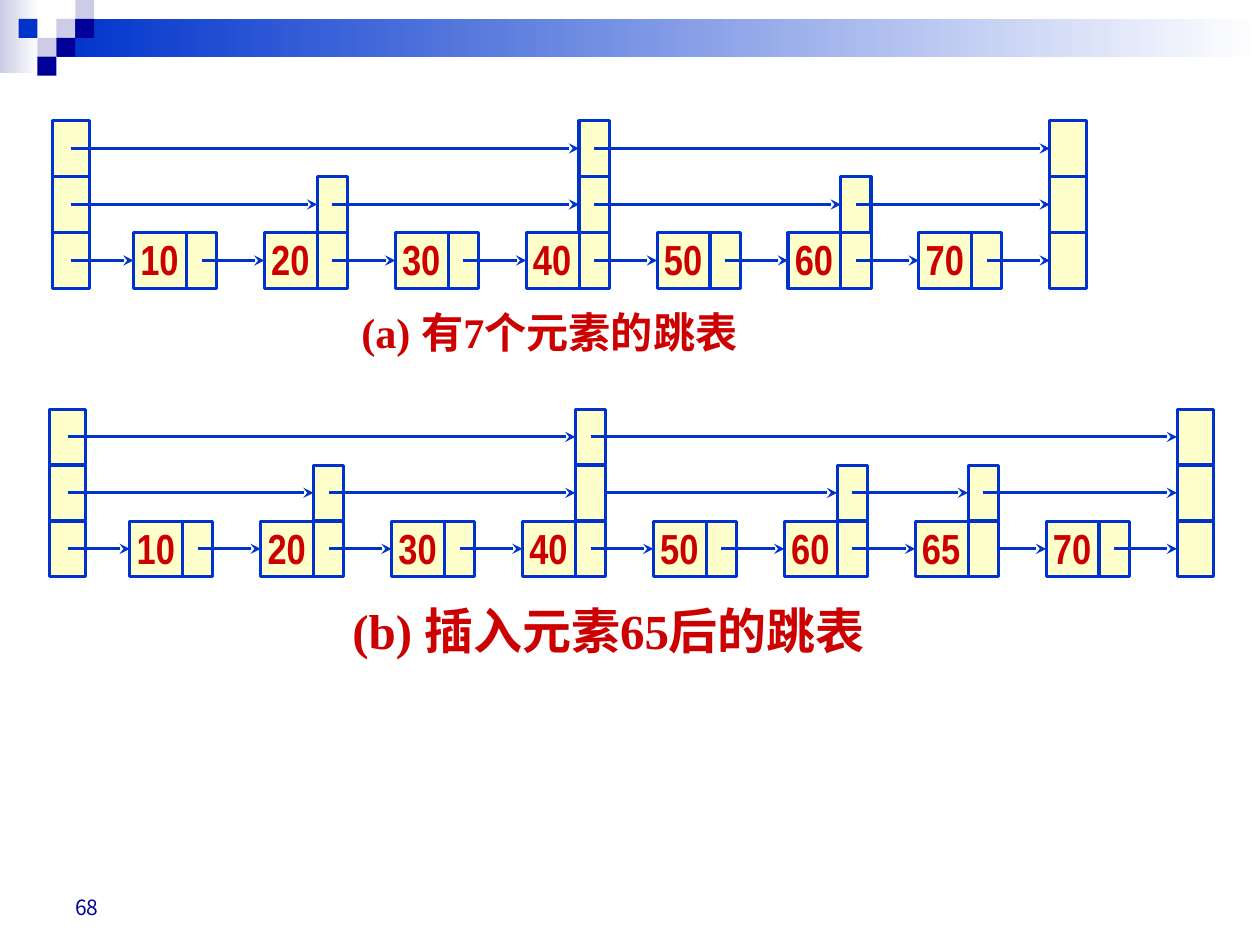
from lxml import etree
from pptx import Presentation
from pptx.dml import color
from pptx.enum import shapes, text
from pptx.oxml import ns
from pptx.util import Pt

BLUE, NAVY, LAVENDER = "0033CC", "000099", "CCCCE6"
CREAM, RED, WHITE = "FFFFCC", "CC0000", "FFFFFF"

# Skip list geometry, in points
PITCH = 74.8                     # distance between neighbouring nodes
NODE_W, CELL_H = 47.5, 31.7
KEY_W, POINTER_W, END_W = 30.2, 17.3, 21
LEVEL = 32                       # distance between levels
HEAD_GAP = 46.1                  # first node's left edge minus the head's


def rgb(value):
    return color.RGBColor.from_string(value)


class SkipListSlide:
    line_width = 1.75

    def __init__(self, slide):
        self.slide = slide

    def box(self, x, y, width, height, fill, outline=None, fade_to=None):
        shape = self.slide.shapes.add_shape(
            shapes.MSO_SHAPE.RECTANGLE, Pt(x), Pt(y), Pt(width), Pt(height))
        shape.shadow.inherit = False
        if fade_to:
            shape.fill.gradient()
            shape.fill.gradient_angle = 0
            for stop, value in zip(shape.fill.gradient_stops, (fill, fade_to)):
                stop.color.rgb = rgb(value)
        else:
            shape.fill.solid()
            shape.fill.fore_color.rgb = rgb(fill)
        if outline:
            shape.line.color.rgb = rgb(outline)
            shape.line.width = Pt(self.line_width)
        else:
            shape.line.fill.background()

    def cell(self, x, y, width):
        self.box(x, y, width, CELL_H, CREAM, BLUE)

    def line(self, x1, y1, x2, y2, arrow=False):
        connector = self.slide.shapes.add_connector(
            shapes.MSO_CONNECTOR.STRAIGHT, Pt(x1), Pt(y1), Pt(x2), Pt(y2))
        connector.line.color.rgb = rgb(BLUE)
        connector.line.width = Pt(self.line_width)
        properties = connector.line._get_or_add_ln()
        if arrow:
            etree.SubElement(properties, ns.qn("a:tailEnd"), type="stealth")
        etree.SubElement(properties.getparent(), ns.qn("a:effectLst"))

    def label(self, x, y, width, height, words, size, font="Times New Roman",
              fill=RED, bold=True, align=text.PP_ALIGN.LEFT,
              anchor=text.MSO_ANCHOR.TOP, spacing=1.0):
        frame = self.slide.shapes.add_textbox(
            Pt(x), Pt(y), Pt(width), Pt(height)).text_frame
        frame.word_wrap = True
        frame.vertical_anchor = anchor
        frame.text = words
        paragraph = frame.paragraphs[0]
        paragraph.alignment = align
        paragraph.line_spacing = spacing
        for run in paragraph.runs:
            run.font.size, run.font.bold, run.font.name = Pt(size), bold, font
            run.font.color.rgb = rgb(fill)
            etree.SubElement(run.font._element, ns.qn("a:ea"),
                             typeface="Noto Sans CJK JP")

    def skip_list(self, left, top, keys, heights, behind=()):
        """Draw a skip list whose bottom row starts at left, top.

        heights gives the levels of the tall nodes; behind names the links
        (key, level) that start underneath their own cell.
        """
        def row(level):
            return top - level * LEVEL

        first = left + HEAD_GAP
        nodes = {key: first + i * PITCH for i, key in enumerate(keys)}
        end = first + len(keys) * PITCH

        # Links join each node to the next one that reaches the level
        links = []
        for level in range(3):
            start, source = left + END_W / 2, None
            for key, x in nodes.items():
                if heights.get(key, 1) > level:
                    target = x if level == 0 else x + KEY_W
                    links.append((source, level, start, target))
                    start, source = x + KEY_W + POINTER_W / 2, key
            links.append((source, level, start, end))

        def draw_links(hidden):
            for source, level, start, target in links:
                if ((source, level) in behind) == hidden:
                    y = row(level) + CELL_H / 2
                    self.line(start, y, target, y, arrow=True)

        draw_links(hidden=True)

        # Head and tail towers
        for x in (left, end):
            for level in range(3):
                self.cell(x, row(level), END_W)

        # Nodes with their upper pointer cells
        for key, x in nodes.items():
            self.cell(x, top, NODE_W)
            self.line(x + KEY_W, top, x + KEY_W, top + CELL_H)
            for level in range(1, heights.get(key, 1)):
                self.cell(x + KEY_W, row(level), POINTER_W)
            self.label(x - 3.2, top - 3, 43.2, 41.8, str(key), 24,
                       "Arial Narrow", align=text.PP_ALIGN.JUSTIFY)

        draw_links(hidden=False)


def main():
    presentation = Presentation()
    presentation.slide_width, presentation.slide_height = Pt(720), Pt(540)
    page = SkipListSlide(
        presentation.slides.add_slide(presentation.slide_layouts[6]))

    # Header band and squares
    page.box(0, 0, 22.3, 41.8, LAVENDER, fade_to=WHITE)
    page.box(32.4, 10.8, 687.6, 21.6, BLUE, fade_to=WHITE)
    square = 10.8
    for column, line, fill in ((2, 1, LAVENDER), (3, 0, LAVENDER),
                               (3, 1, NAVY), (1, 2, LAVENDER), (0, 1, BLUE),
                               (2, 2, NAVY), (1, 3, NAVY)):
        page.box(10.6 + column * square, line * square, square, square, fill)

    # Slide number
    page.label(36, 491.8, 167.8, 37.4, "68", 12, "Noto Sans CJK JP", NAVY,
               bold=False, anchor=text.MSO_ANCHOR.BOTTOM)

    # Captions
    page.label(199.4, 175, 253.4, 41, "(a) 有7个元素的跳表", 24.1,
               align=text.PP_ALIGN.JUSTIFY, spacing=0.9)
    page.label(162, 339.8, 371.5, 43.9, "(b) 插入元素65后的跳表", 28,
               align=text.PP_ALIGN.CENTER)

    # Skip lists before and after the insertion
    heights = {20: 2, 40: 3, 60: 2}
    page.skip_list(30.2, 133, range(10, 80, 10), heights)
    page.skip_list(28.1, 297.8, (10, 20, 30, 40, 50, 60, 65, 70),
                   {**heights, 65: 2}, behind={(40, 1), (65, 0)})

    presentation.save("out.pptx")


if __name__ == "__main__":
    main()
